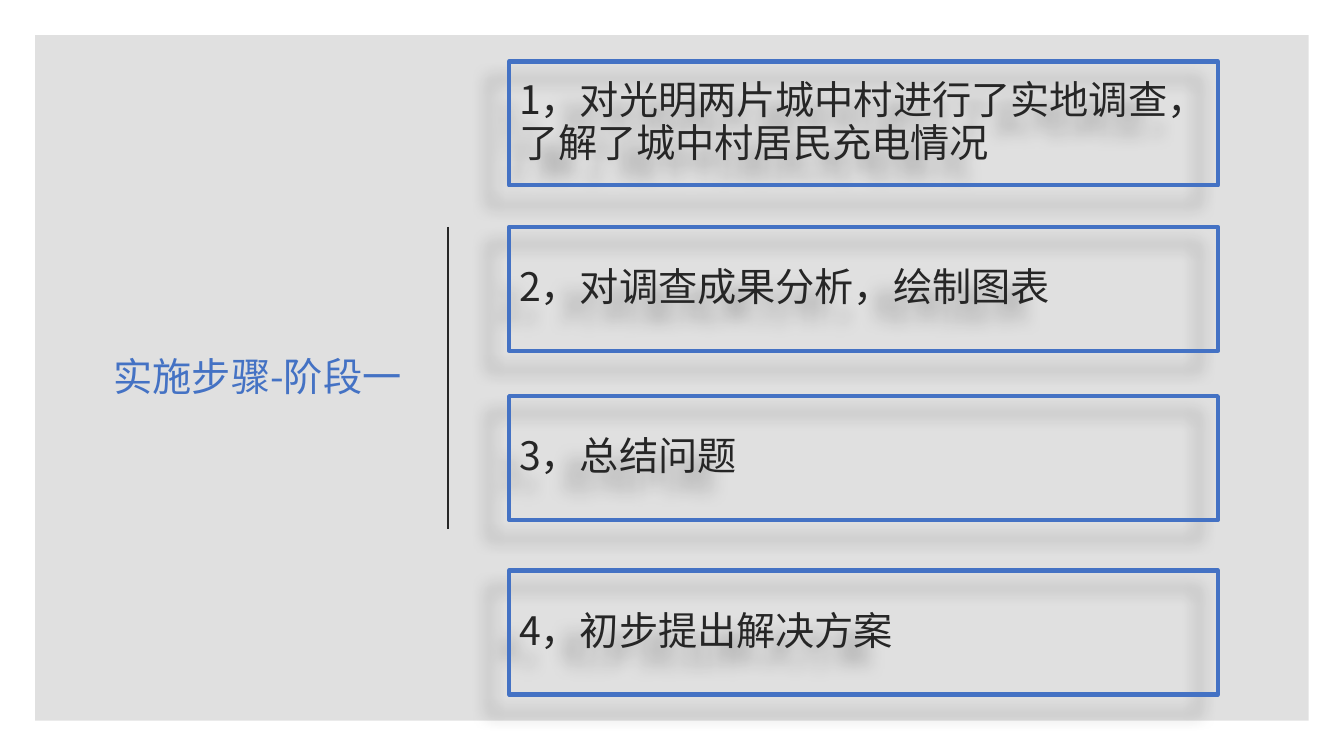
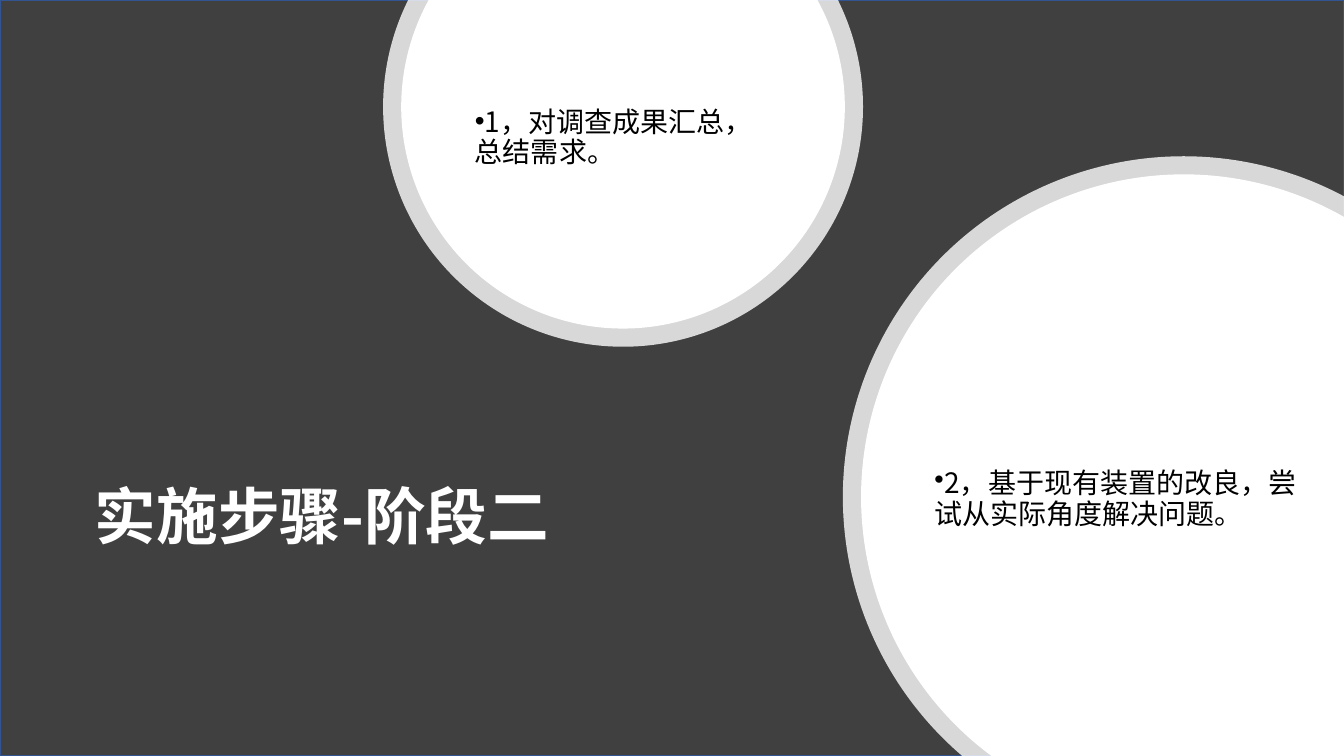
from math import acos, asin, cos, degrees, radians, sin

from pptx import Presentation
from pptx.dml.color import RGBColor
from pptx.enum.shapes import MSO_CONNECTOR, MSO_SHAPE
from pptx.enum.text import MSO_ANCHOR, MSO_AUTO_SIZE, PP_ALIGN
from pptx.oxml.ns import qn
from pptx.util import Inches, Pt
from lxml.etree import SubElement

WIDE, HIGH = 13.33, 7.5
FONT = "Noto Sans CJK SC"
INK = {
    "blue": "4472C4",
    "edge": "325491",
    "dark": "404040",
    "text": "262626",
    "black": "000000",
    "white": "FFFFFF",
}


def tint(name):
    return RGBColor.from_string(INK[name])


def place(shape, box):
    shape.left, shape.top, shape.width, shape.height = map(Inches, box)


def paint(shape, fill=None, line=None, width=1, alpha=None):
    """Set fill, opacity in percent and outline, without a shadow."""
    shape.shadow.inherit = False
    if fill:
        shape.fill.solid()
        shape.fill.fore_color.rgb = tint(fill)
        if alpha:
            color = next(shape.element.spPr.iter(qn("a:srgbClr")))
            SubElement(color, qn("a:alpha"), val=str(alpha * 1000))
    else:
        shape.fill.background()
    if line:
        shape.line.color.rgb = tint(line)
        shape.line.width = Pt(width)
    else:
        shape.line.fill.background()


def cast(shape):
    """Drop a soft shadow to the lower left."""
    effects = shape.element.spPr.find(qn("a:effectLst"))
    outer = SubElement(effects, qn("a:outerShdw"), blurRad=str(Pt(11.8)),
                       dist=str(Pt(19.7)), dir=str(141 * 60000),
                       algn="t", rotWithShape="0")
    color = SubElement(outer, qn("a:srgbClr"), val=INK["black"])
    SubElement(color, qn("a:alpha"), val="28000")


def write(shape, text, size, color, bold=False, align=PP_ALIGN.LEFT,
          before=0, after=0, bullet=False):
    frame = shape.text_frame
    frame.word_wrap = True
    frame.auto_size = MSO_AUTO_SIZE.NONE
    frame.vertical_anchor = MSO_ANCHOR.MIDDLE
    para = frame.paragraphs[0]
    para.alignment = align
    para.line_spacing = 0.9
    para.space_before, para.space_after = Pt(before), Pt(after)
    if bullet:
        props = para._p.get_or_add_pPr()
        props.set("marL", "0")
        props.set("indent", str(-Inches(0.25)))
        SubElement(props, qn("a:buChar"), char="•")
    run = para.add_run()
    run.text = text
    run.font.size = Pt(size)
    run.font.bold = bold
    run.font.name = FONT
    run.font.color.rgb = tint(color)
    SubElement(run.font._element, qn("a:ea"), typeface=FONT)


def raise_up(slide, holder, box):
    """Place a placeholder in front of the shapes drawn so far."""
    slide.shapes.element.append(holder.element)
    place(holder, box)
    return holder


def title(slide, box, text, size, color, **style):
    write(raise_up(slide, slide.shapes.title, box), text, size, color, **style)


def panel(slide, box, **style):
    shape = slide.shapes.add_shape(MSO_SHAPE.RECTANGLE, *map(Inches, box))
    paint(shape, **style)
    return shape


def rule(slide, x, top, low):
    line = slide.shapes.add_connector(
        MSO_CONNECTOR.STRAIGHT, *map(Inches, (x, top, x, low)))
    line.line.color.rgb = tint("text")
    line.line.width = Pt(1.5)
    SubElement(line.element.spPr, qn("a:effectLst"))


def disc(slide, x, y, radius, turns, corners, alpha=None):
    """Draw a white arc through the turns, closed by way of the corners."""
    spots = [(x + radius * cos(radians(turn)), y + radius * sin(radians(turn)))
             for turn in turns]
    points = [(Inches(across), Inches(down))
              for across, down in spots + corners]
    outline = slide.shapes.build_freeform(*points[0], scale=1.0)
    outline.add_line_segments(points[1:], close=True)
    shape = outline.convert_to_shape()
    sides = list(shape.element.spPr.iter(qn("a:lnTo")))
    size = str(Inches(radius))
    for side, start, end in zip(sides, turns, turns[1:]):
        arc = SubElement(side.getparent(), qn("a:arcTo"), wR=size, hR=size,
                         stAng=str(round(start % 360 * 60000)),
                         swAng=str(round((end - start) * 60000)))
        side.getparent().replace(side, arc)
    paint(shape, "white", alpha=alpha)


def top_disc(slide, radius, alpha=None):
    x, y = 6.18, 1.06
    cut = degrees(asin(y / radius))
    disc(slide, x, y, radius, (-cut, 0, 90, 180, 180 + cut), [], alpha)


def side_disc(slide, radius, alpha=None):
    x, y = 11.74, 4.93
    low = 180 - degrees(asin((HIGH - y) / radius))
    right = 360 - degrees(acos((WIDE - x) / radius))
    disc(slide, x, y, radius, (low, 180, 270, right), [(WIDE, HIGH)], alpha)


def bubble(slide, draw, radius):
    draw(slide, radius + 0.18, alpha=80)
    draw(slide, radius)


def steps_list(slide, box, tops, items):
    left, wide, high = box
    for top, text in zip(tops, items):
        card = panel(slide, (left, top, wide, high), line="blue", width=3)
        cast(card)
        write(card, text, 28, "text")


def first_stage(deck):
    slide = deck.slides.add_slide(deck.slide_layouts[5])
    edge = 0.35
    panel(slide, (edge, edge, WIDE - 2 * edge, HIGH - 2 * edge),
          fill="black", alpha=12)
    title(slide, (0.64, 1.06, 3.44, 5.39), "实施步骤-阶段一", 28, "blue",
          align=PP_ALIGN.RIGHT, before=10)
    rule(slide, 4.44, 2.25, 5.25)
    steps_list(slide, (5.05, 7.03, 1.23), (0.61, 2.25, 3.93, 5.66), (
        "1，对光明两片城中村进行了实地调查，了解了城中村居民充电情况",
        "2，对调查成果分析，绘制图表",
        "3，总结问题",
        "4，初步提出解决方案",
    ))


def second_stage(deck):
    slide = deck.slides.add_slide(deck.slide_layouts[0])
    panel(slide, (0, 0, WIDE, HIGH), fill="dark", line="edge")
    title(slide, (0.84, 3.83, 6.62, 2.65), "实施步骤-阶段二", 44, "white",
          bold=True)
    bubble(slide, top_disc, 2.2)
    bubble(slide, side_disc, 3.2)
    first = raise_up(slide, slide.placeholders[1], (4.61, 0.39, 3.15, 1.96))
    write(first, "1，对调查成果汇总，总结需求。", 20, "black",
          before=10, bullet=True)
    second = slide.shapes.add_textbox(*map(Inches, (9.17, 3.44, 3.8, 3.04)))
    write(second, "2，基于现有装置的改良，尝试从实际角度解决问题。", 20, "black",
          after=6, bullet=True)


def main():
    deck = Presentation()
    deck.slide_width, deck.slide_height = Inches(WIDE), Inches(HIGH)
    first_stage(deck)
    second_stage(deck)
    deck.save("out.pptx")


if __name__ == "__main__":
    main()
